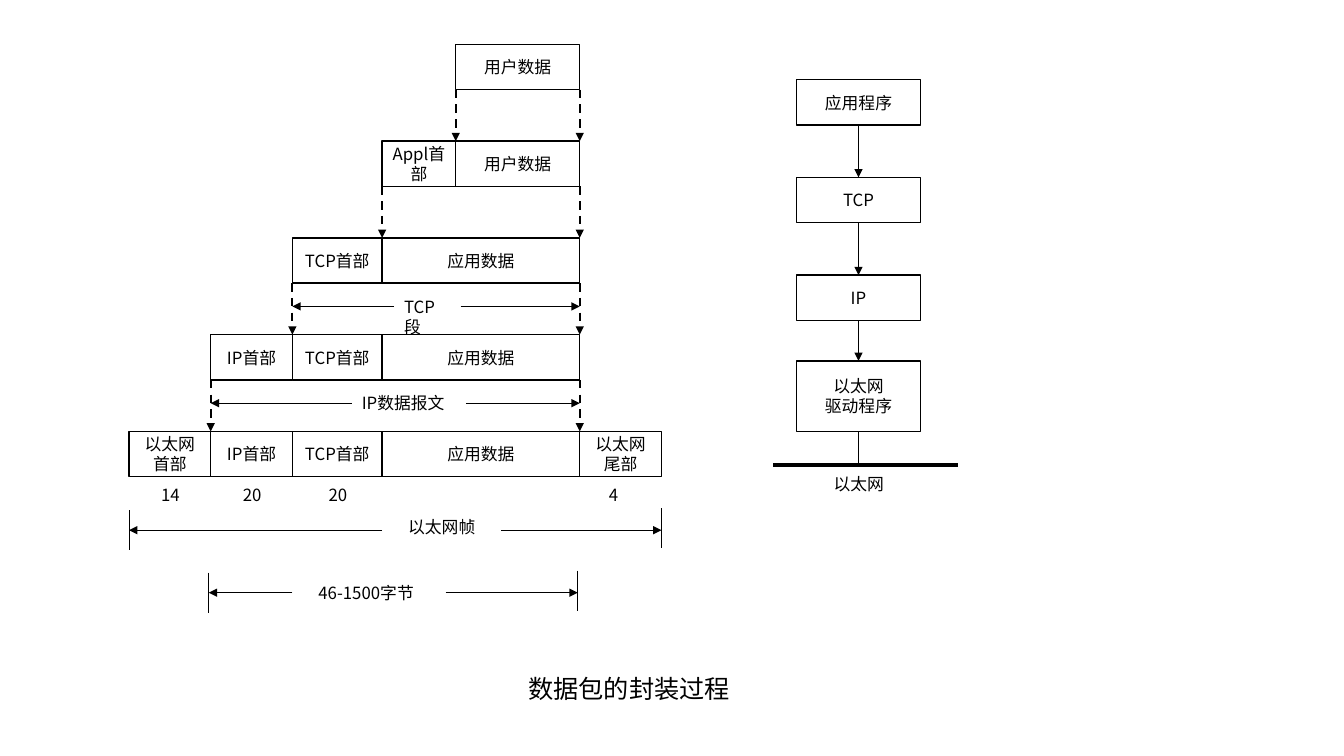
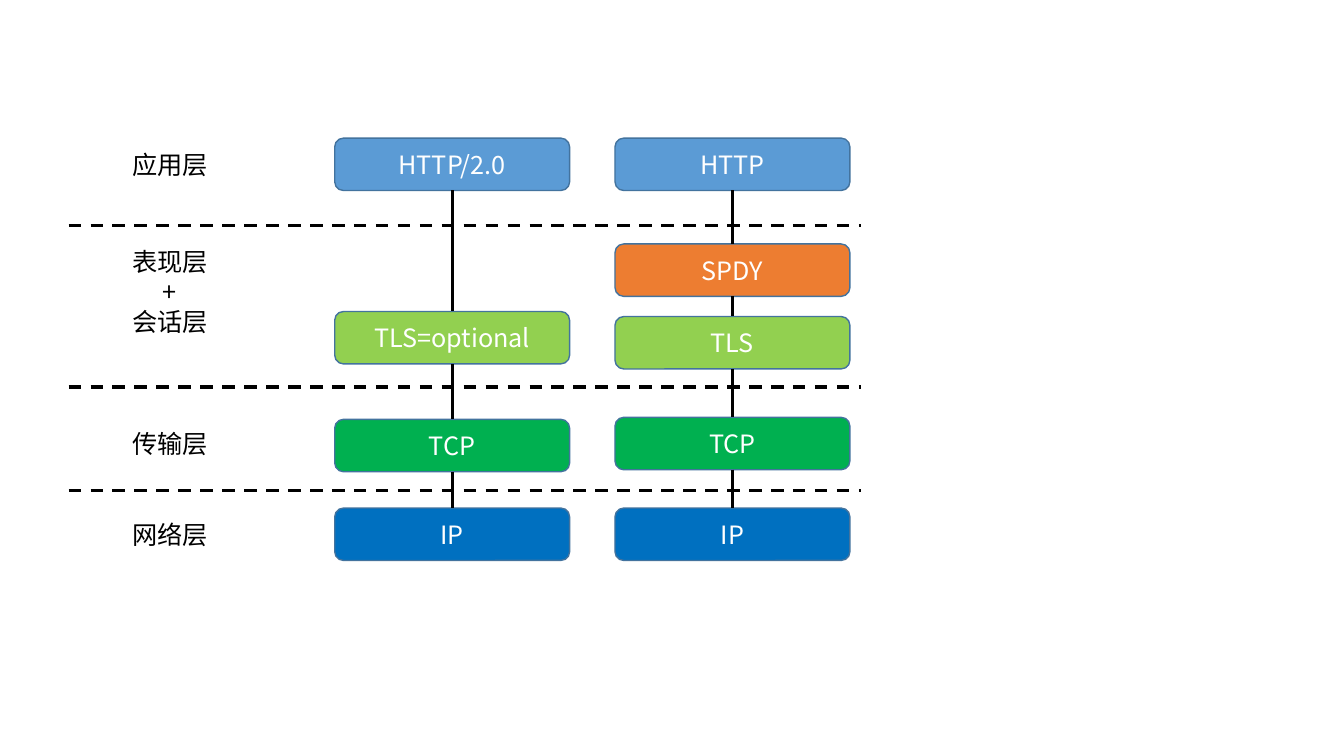
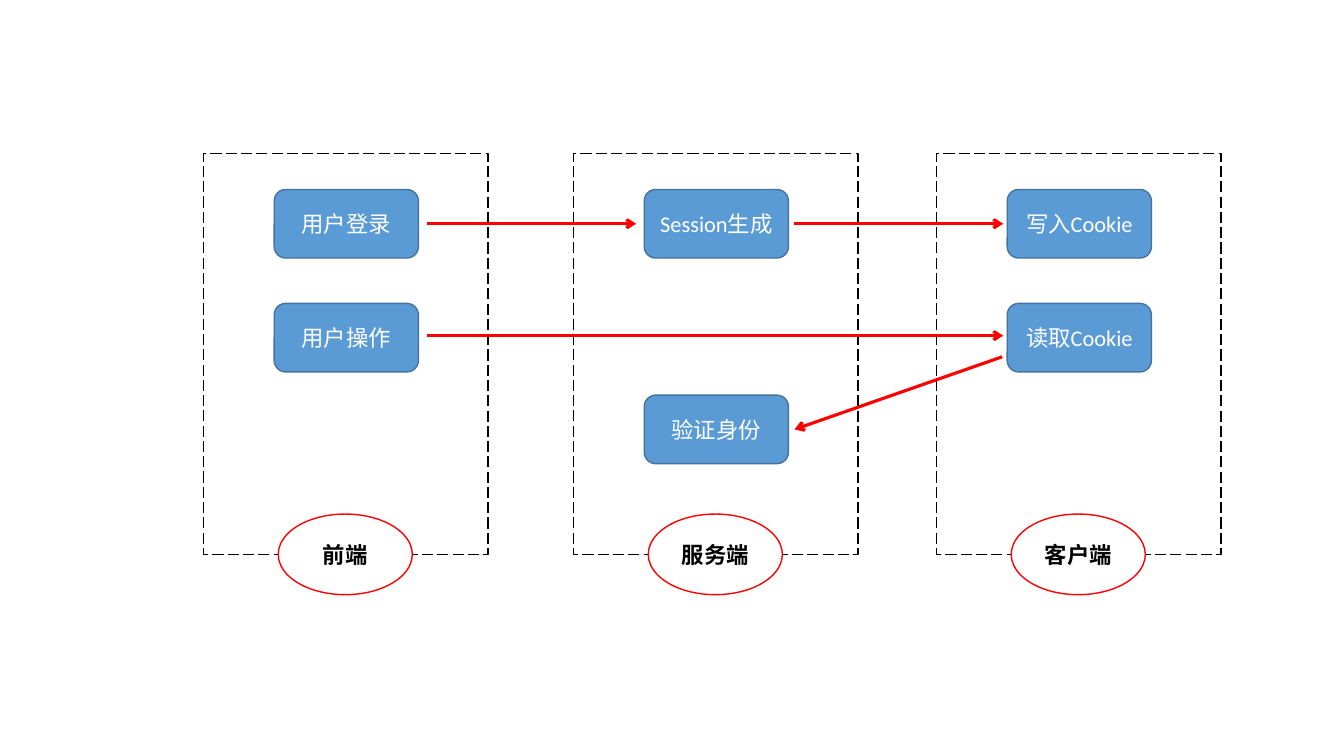
import pptx
import pptx.util
import pptx.dml.color
import pptx.enum.dml
import pptx.enum.shapes
import pptx.enum.text
import pptx.oxml
import pptx.oxml.ns

Inches, Pt = pptx.util.Inches, pptx.util.Pt
SHAPE = pptx.enum.shapes.MSO_SHAPE
DASH = pptx.enum.dml.MSO_LINE
ALIGN = pptx.enum.text.PP_ALIGN
TOP, BOTTOM = 0, 2  # connection sites

# ---- Shared style ----
COLORS = {"black": "000000", "white": "FFFFFF", "red": "FF0000",
          "blue": "5B9BD5", "edge": "43739E", "orange": "ED7D31",
          "lime": "92D050", "green": "00B050", "navy": "0070C0"}
CJK, LATIN = "Noto Sans CJK SC", "Calibri"
LINE_HEIGHT = 1.2

# ---- Encapsulation: content ----
EDGES = [1.28, 2.09, 2.9, 3.79, 4.52, 5.75, 6.56]
ROW_TOP, ROW_STEP, ROW_HEIGHT = 0.44, 0.96, 0.45
DATA_END = 5  # index of the edge where the data ends
# Each row: first edge, then (label, next edge)
PACKETS = [
    (4, [("用户数据", 5)]),
    (3, [("Appl首部", 4), ("用户数据", 5)]),
    (2, [("TCP首部", 3), ("应用数据", 5)]),
    (1, [("IP首部", 2), ("TCP首部", 3), ("应用数据", 5)]),
    (0, [("以太网首部", 1), ("IP首部", 2), ("TCP首部", 3),
         ("应用数据", 5), ("以太网尾部", 6)]),
]
# Label, label left, top, width, line y, left end, gap start, gap end, right end, ticks
SPANS = [
    ("TCP段", 3.91, 2.89, 0.67, 3.04, 2.9, 3.91, 4.57, 5.75, False),
    ("IP数据报文", 3.49, 3.85, 1.13, 4, 2.09, 3.49, 4.62, 5.75, False),
    ("以太网帧", 3.95, 5.08, 0.95, 5.26, 1.28, 3.79, 4.97, 6.56, True),
    ("46-1500字节", 3.06, 5.73, 1.22, 5.88, 2.07, 2.9, 4.42, 5.73, True),
]
BYTE_COUNTS = [("14", 1.5, 0.39), ("20", 2.31, 0.39), ("20", 3.16, 0.39), ("4", 5.94, 0.29)]
STACK = [("应用程序", 0.79, 0.45), ("TCP", 1.76, 0.45), ("IP", 2.73, 0.45),
         ("以太网\n驱动程序", 3.58, 0.7)]
STACK_LEFT, STACK_WIDTH, WIRE_Y = 7.9, 1.23, 4.61

# ---- Protocol layers: content ----
LAYERS = [("应用层", 1.43, 0.4), ("表现层\n+\n会话层", 2.39, 1.01),
          ("传输层", 4.2, 0.4), ("网络层", 5.1, 0.4)]
LAYER_BORDERS = [2.24, 3.84, 4.87]
PROTOCOLS = [
    (3.32, [("HTTP/2.0", 1.37, "blue"), ("TLS=optional", 3.09, "lime"),
            ("TCP", 4.16, "green"), ("IP", 5.04, "navy")]),
    (6.1, [("HTTP", 1.37, "blue"), ("SPDY", 2.42, "orange"), ("TLS", 3.14, "lime"),
           ("TCP", 4.14, "green"), ("IP", 5.04, "navy")]),
]

# ---- Session flow: content ----
LANES = [
    ("前端", 2.02, [("用户登录", 1.88), ("用户操作", 3.01)]),
    ("服务端", 5.69, [("Session生成", 1.88), ("验证身份", 3.92)]),
    ("客户端", 9.29, [("写入Cookie", 1.88), ("读取Cookie", 3.01)]),
]
LANE_TOP, LANE_WIDTH, LANE_HEIGHT = 1.52, 2.82, 3.98
STEPS = [((4.24, 2.22), (6.31, 2.22)), ((7.88, 2.22), (9.95, 2.22)),
         ((4.24, 3.33), (9.95, 3.33)), ((9.94, 3.54), (7.88, 4.26))]


# ---- Helpers ----
def rgb(name):
    return pptx.dml.color.RGBColor.from_string(COLORS[name])


def write(frame, text, size, color="black", font=CJK, bold=False, align=ALIGN.CENTER):
    for i, words in enumerate(text.split("\n")):
        paragraph = frame.paragraphs[0] if i == 0 else frame.add_paragraph()
        paragraph.alignment = align
        paragraph.line_spacing = Pt(round(size * LINE_HEIGHT, 1))
        run = paragraph.add_run()
        run.text = words
        run.font.size, run.font.name, run.font.bold = Pt(size), font, bold
        run.font.color.rgb = rgb(color)
        east_asian = pptx.oxml.parse_xml(
            f'<a:ea {pptx.oxml.ns.nsdecls("a")} typeface="{CJK}"/>')
        run.font._element.find(pptx.oxml.ns.qn("a:latin")).addnext(east_asian)


def box(slide, kind, left, top, width, height, text="", size=12, fill=None,
        edge="black", dash=None, **style):
    shape = slide.shapes.add_shape(kind, *map(Inches, (left, top, width, height)))
    shape.shadow.inherit = False
    if fill:
        shape.fill.solid()
        shape.fill.fore_color.rgb = rgb(fill)
    else:
        shape.fill.background()
    shape.line.color.rgb = rgb(edge)
    shape.line.width = Pt(1)
    if dash:
        shape.line.dash_style = dash
    if text:
        shape.text_frame.word_wrap = True
        shape.text_frame.vertical_anchor = pptx.enum.text.MSO_ANCHOR.MIDDLE
        write(shape.text_frame, text, size, **style)
    return shape


def label(slide, text, left, top, width, height=0.3, size=12, wrap=False,
          align=ALIGN.LEFT, **style):
    area = slide.shapes.add_textbox(*map(Inches, (left, top, width, height)))
    area.text_frame.word_wrap = wrap
    write(area.text_frame, text, size, align=align, **style)


def line(slide, start, end, width=0.5, color="black", dash=None, arrow=None):
    link = slide.shapes.add_connector(
        pptx.enum.shapes.MSO_CONNECTOR.STRAIGHT, *map(Inches, (*start, *end)))
    link.line.color.rgb = rgb(color)
    link.line.width = Pt(width)
    if dash:
        link.line.dash_style = dash
    namespace = pptx.oxml.ns.nsdecls("a")
    if arrow:
        link.line._get_or_add_ln().append(
            pptx.oxml.parse_xml(f'<a:tailEnd {namespace} type="{arrow}"/>'))
    link._element.spPr.append(pptx.oxml.parse_xml(f"<a:effectLst {namespace}/>"))
    return link


def join_down(slide, boxes, **style):
    """Link each box to the one below it."""
    for upper, lower in zip(boxes, boxes[1:]):
        link = line(slide, (0, 0), (0, 0), **style)
        link.begin_connect(upper, BOTTOM)
        link.end_connect(lower, TOP)


# ---- Slides ----
def encapsulation(slide):
    # Packet rows and the dashed drops between them
    for i, (first, cells) in enumerate(PACKETS):
        top = ROW_TOP + i * ROW_STEP
        start = first
        for text, end in cells:
            box(slide, SHAPE.RECTANGLE, EDGES[start], top,
                EDGES[end] - EDGES[start], ROW_HEIGHT, text)
            start = end
        if i < len(PACKETS) - 1:
            for x in (EDGES[first], EDGES[DATA_END]):
                line(slide, (x, top + ROW_HEIGHT), (x, top + ROW_STEP), 1.5,
                     dash=DASH.DASH, arrow="triangle")

    # Measured spans and byte counts
    for text, x, top, width, y, left, gap_start, gap_end, right, ticks in SPANS:
        label(slide, text, x, top, width, wrap=text == "TCP段")
        line(slide, (gap_start, y), (left, y), arrow="triangle")
        line(slide, (gap_end, y), (right, y), arrow="triangle")
        if ticks:
            line(slide, (left, y - 0.2), (left, y + 0.2))
            line(slide, (right, y - 0.22), (right, y + 0.18))
    for text, left, width in BYTE_COUNTS:
        label(slide, text, left, 4.76, width)

    # Protocol stack down to the wire
    stack = [box(slide, SHAPE.RECTANGLE, STACK_LEFT, top, STACK_WIDTH, height, text)
             for text, top, height in STACK]
    join_down(slide, stack, arrow="triangle")
    line(slide, (7.67, WIRE_Y), (9.5, WIRE_Y), 3)
    center = STACK_LEFT + STACK_WIDTH / 2
    drop = line(slide, (center, 4.28), (center, WIRE_Y))
    drop.begin_connect(stack[-1], BOTTOM)
    label(slide, "以太网", 8.17, 4.65, 0.76)
    label(slide, "数据包的封装过程", 5.14, 6.63, 2.22, 0.4, size=18, font=LATIN)


def protocol_layers(slide):
    for y in LAYER_BORDERS:
        line(slide, (0.68, y), (8.54, y), 2.25, dash=DASH.DASH)
    for text, top, height in LAYERS:
        label(slide, text, 1.17, top, 1.03, height, size=18, align=ALIGN.CENTER)
    for left, protocols in PROTOCOLS:
        column = [box(slide, SHAPE.ROUNDED_RECTANGLE, left, top, 2.33, 0.52, text, 18,
                      fill, "edge", color="white") for text, top, fill in protocols]
        join_down(slide, column, width=2.25)


def session_flow(slide):
    for name, left, actions in LANES:
        center = left + LANE_WIDTH / 2
        box(slide, SHAPE.RECTANGLE, left, LANE_TOP, LANE_WIDTH, LANE_HEIGHT,
            dash=DASH.LONG_DASH)
        box(slide, SHAPE.OVAL, center - 0.67, 5.1, 1.33, 0.8, name, 16, "white", "red",
            font=LATIN, bold=True)
        for text, top in actions:
            box(slide, SHAPE.ROUNDED_RECTANGLE, center - 0.71, top, 1.43, 0.68, text, 16,
                "blue", "edge", color="white", font=LATIN)
    for start, end in STEPS:
        line(slide, start, end, 2.25, "red", arrow="arrow")


def main():
    deck = pptx.Presentation()
    deck.slide_width, deck.slide_height = Inches(13.33), Inches(7.5)
    blank = deck.slide_layouts[6]
    for build in (encapsulation, protocol_layers, session_flow):
        build(deck.slides.add_slide(blank))
    deck.save("out.pptx")


if __name__ == "__main__":
    main()
